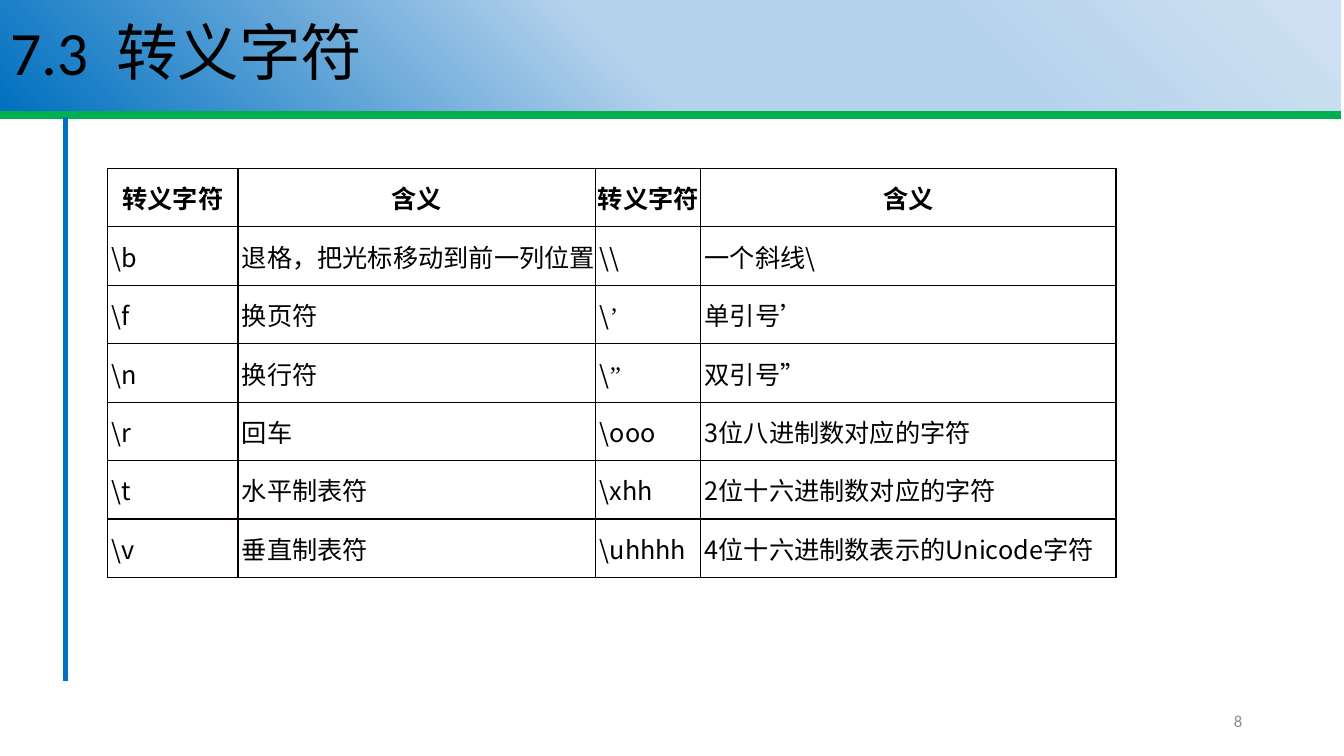
"""Build the slide listing escape characters in a four-column table."""
from dataclasses import dataclass
from lxml.etree import SubElement
from pptx import Presentation
from pptx.dml.color import RGBColor
from pptx.enum.shapes import MSO_CONNECTOR as Connector
from pptx.enum.text import MSO_ANCHOR as Anchor, MSO_AUTO_SIZE as AutoSize, PP_ALIGN as Align
from pptx.oxml import parse_xml
from pptx.oxml.ns import nsdecls, qn
from pptx.util import Inches, Pt


@dataclass(frozen=True)
class Theme:
    text: str = "000000"
    border: str = "080000"
    green: str = "00B050"
    blue: str = "0070C0"
    muted: str = "8C8C8C"
    gradient: tuple = ((1, "CEE1F2"), (29, "B5D2EC"), (53, "B5D2EC"), (100, "0070C0"))
    heading_font: str = "Calibri"
    table_font: str = "Noto Sans CJK SC"
    quote_font: str = "Times New Roman"
    title_size: int = 44
    table_size: int = 18
    number_size: int = 12


theme = Theme()


def format_run(run, font, size, color, bold=False):
    run.font.name = font
    run.font.size = Pt(size)
    run.font.bold = bold
    run.font.color.rgb = RGBColor.from_string(color)
    SubElement(run.font._element, qn("a:ea"), typeface=theme.table_font)


def add_border(cell, side):
    line = SubElement(cell._tc.get_or_add_tcPr(), qn(f"a:{side}"), w=str(Pt(1)))
    SubElement(SubElement(line, qn("a:solidFill")), qn("a:srgbClr"), val=theme.border)


presentation = Presentation()
presentation.slide_width = Inches(13.33)
presentation.slide_height = Inches(7.5)
slide = presentation.slides.add_slide(presentation.slide_layouts[5])

for x1, y1, x2, y2, color, width in (
    (0, 1.14, 13.3, 1.14, theme.green, 5.25),
    (0.65, 1.16, 0.65, 6.76, theme.blue, 3.75),
):
    rule = slide.shapes.add_connector(
        Connector.STRAIGHT, Inches(x1), Inches(y1), Inches(x2), Inches(y2))
    rule.line.color.rgb = RGBColor.from_string(color)
    rule.line.width = Pt(width)
    SubElement(rule._element.spPr, qn("a:effectLst"))

title = slide.shapes.title
title.left, title.top, title.width, title.height = 0, 0, Inches(13.3), Inches(1.1)
stops = "".join(
    f'<a:gs pos="{position * 1000}"><a:srgbClr val="{color}"/></a:gs>'
    for position, color in theme.gradient)
title._element.spPr.append(parse_xml(
    f'<a:gradFill {nsdecls("a")} rotWithShape="1"><a:gsLst>{stops}</a:gsLst>'
    f'<a:lin ang="{135 * 60000}" scaled="0"/></a:gradFill>'))
title.text_frame.text = "7.3  转义字符"
title.text_frame.auto_size = AutoSize.NONE
title.text_frame.vertical_anchor = Anchor.MIDDLE
paragraph = title.text_frame.paragraphs[0]
paragraph.alignment = Align.LEFT
paragraph.line_spacing = 0.9
format_run(paragraph.runs[0], theme.heading_font, theme.title_size, theme.text)

number = slide.shapes.add_textbox(Inches(9.42), Inches(6.95), Inches(3), Inches(0.4))
number.text_frame.word_wrap = True
number.text_frame.vertical_anchor = Anchor.MIDDLE
number.text_frame.text = "8"
paragraph = number.text_frame.paragraphs[0]
paragraph.alignment = Align.RIGHT
format_run(paragraph.runs[0], theme.heading_font, theme.number_size, theme.muted)

rows = (
    ("转义字符", "含义", "转义字符", "含义"),
    ("\\b", "退格，把光标移动到前一列位置", "\\\\", "一个斜线\\"),
    ("\\f", "换页符", "\\’", "单引号’"),
    ("\\n", "换行符", "\\”", "双引号”"),
    ("\\r", "回车", "\\ooo", "3位八进制数对应的字符"),
    ("\\t", "水平制表符", "\\xhh", "2位十六进制数对应的字符"),
    ("\\v", "垂直制表符", "\\uhhhh", "4位十六进制数表示的Unicode字符"),
)
column_widths = (1.29, 3.55, 1.04, 4.12)
row_height = 0.58
table = slide.shapes.add_table(
    len(rows), len(column_widths), Inches(1.07), Inches(1.67),
    Inches(sum(column_widths)), Inches(row_height * len(rows))).table
table.horz_banding = False
for column, width in zip(table.columns, column_widths):
    column.width = Inches(width)

for row_index, texts in enumerate(rows):
    table.rows[row_index].height = Inches(row_height)
    is_header = row_index == 0
    for column_index, text in enumerate(texts):
        cell = table.cell(row_index, column_index)
        cell.margin_left = Inches(0 if is_header else 0.04)
        cell.margin_right = 0
        cell.margin_top = cell.margin_bottom = Inches(0.11)
        for side in ("lnL", "lnR", "lnT", "lnB"):
            add_border(cell, side)
        cell.fill.background()
        paragraph = cell.text_frame.paragraphs[0]
        paragraph.alignment = Align.CENTER if is_header else Align.LEFT
        body = text.rstrip("’”")
        for part, font in ((body, theme.table_font), (text[len(body):], theme.quote_font)):
            if part:
                run = paragraph.add_run()
                run.text = part
                format_run(run, font, theme.table_size, theme.text, is_header)

presentation.save("out.pptx")
